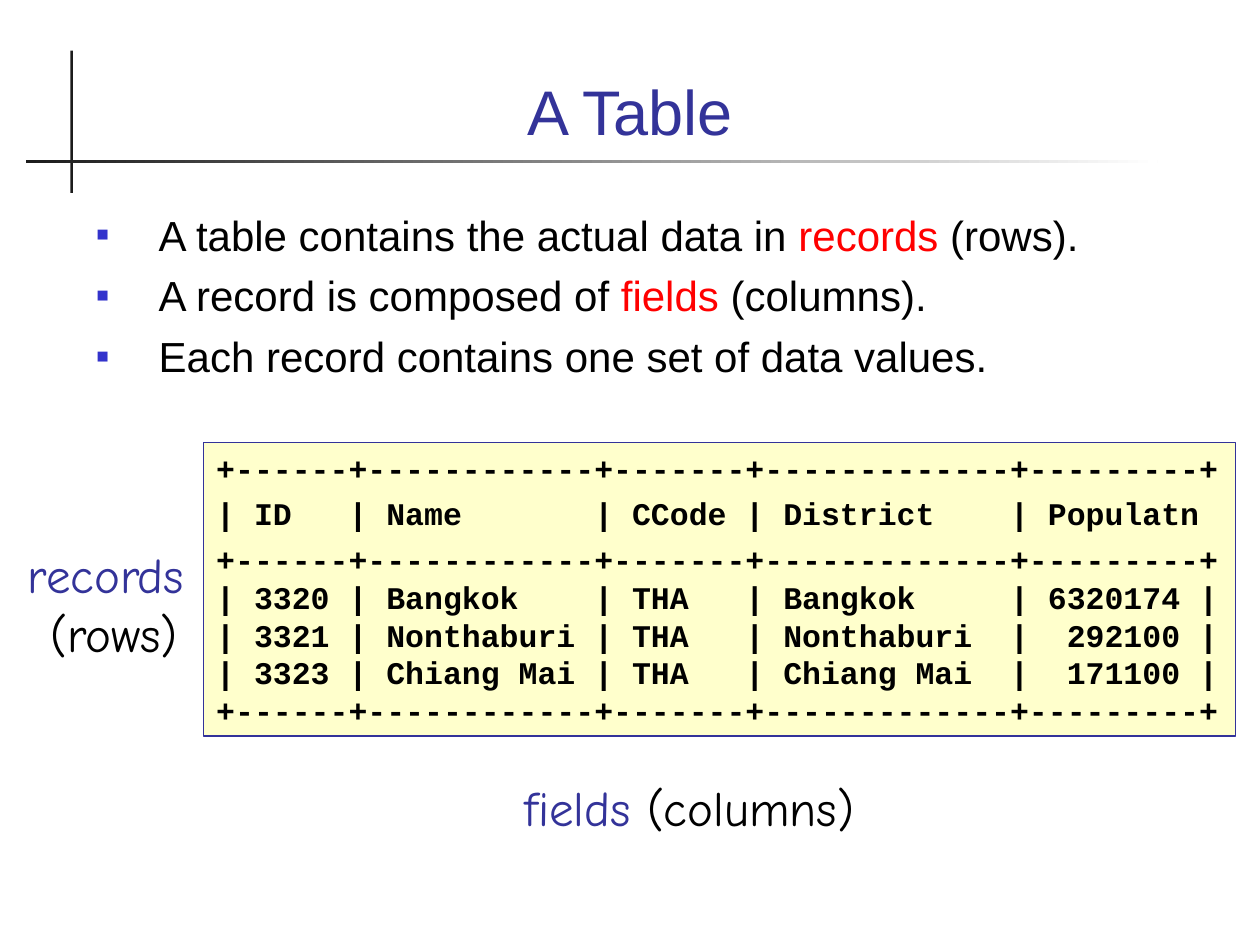
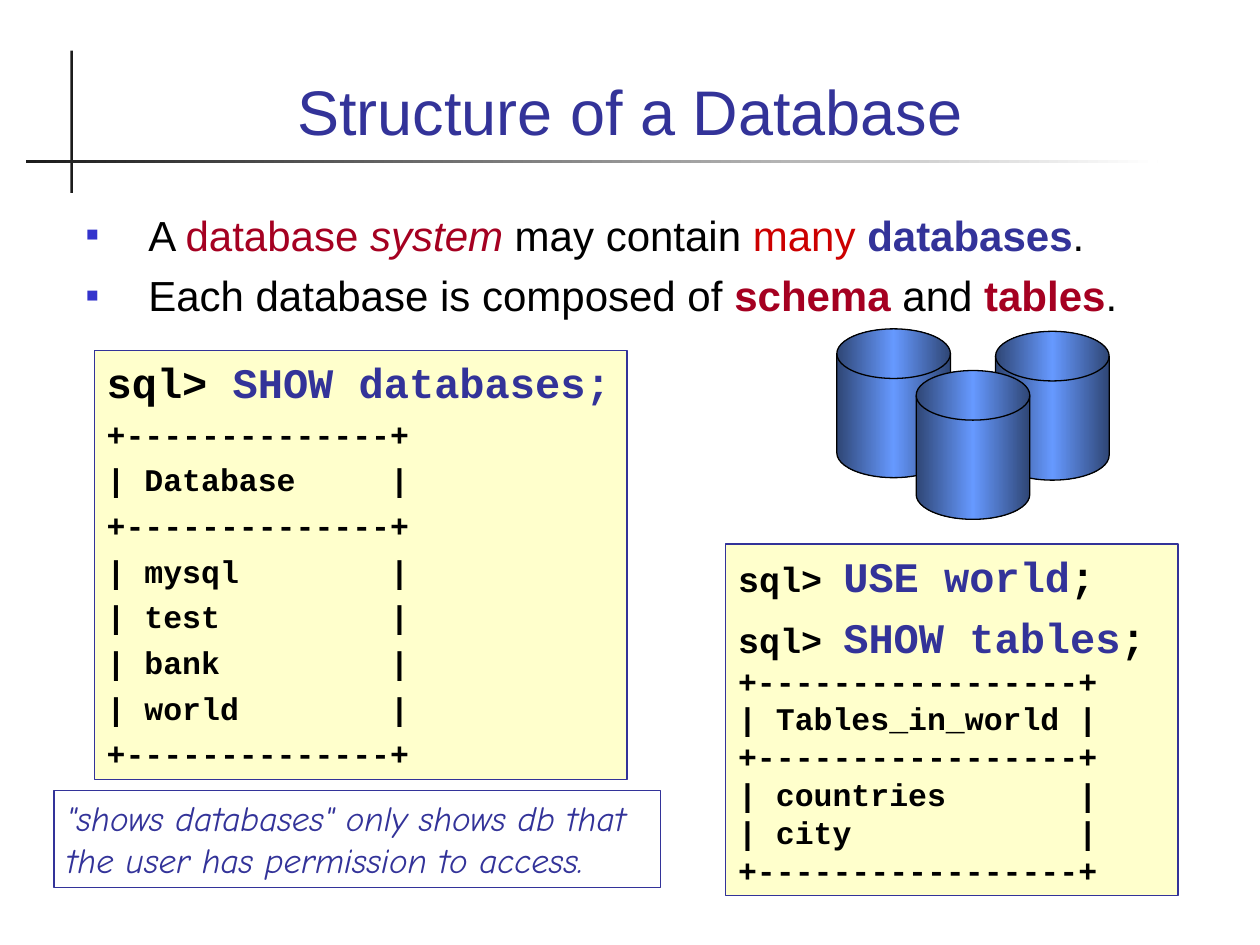
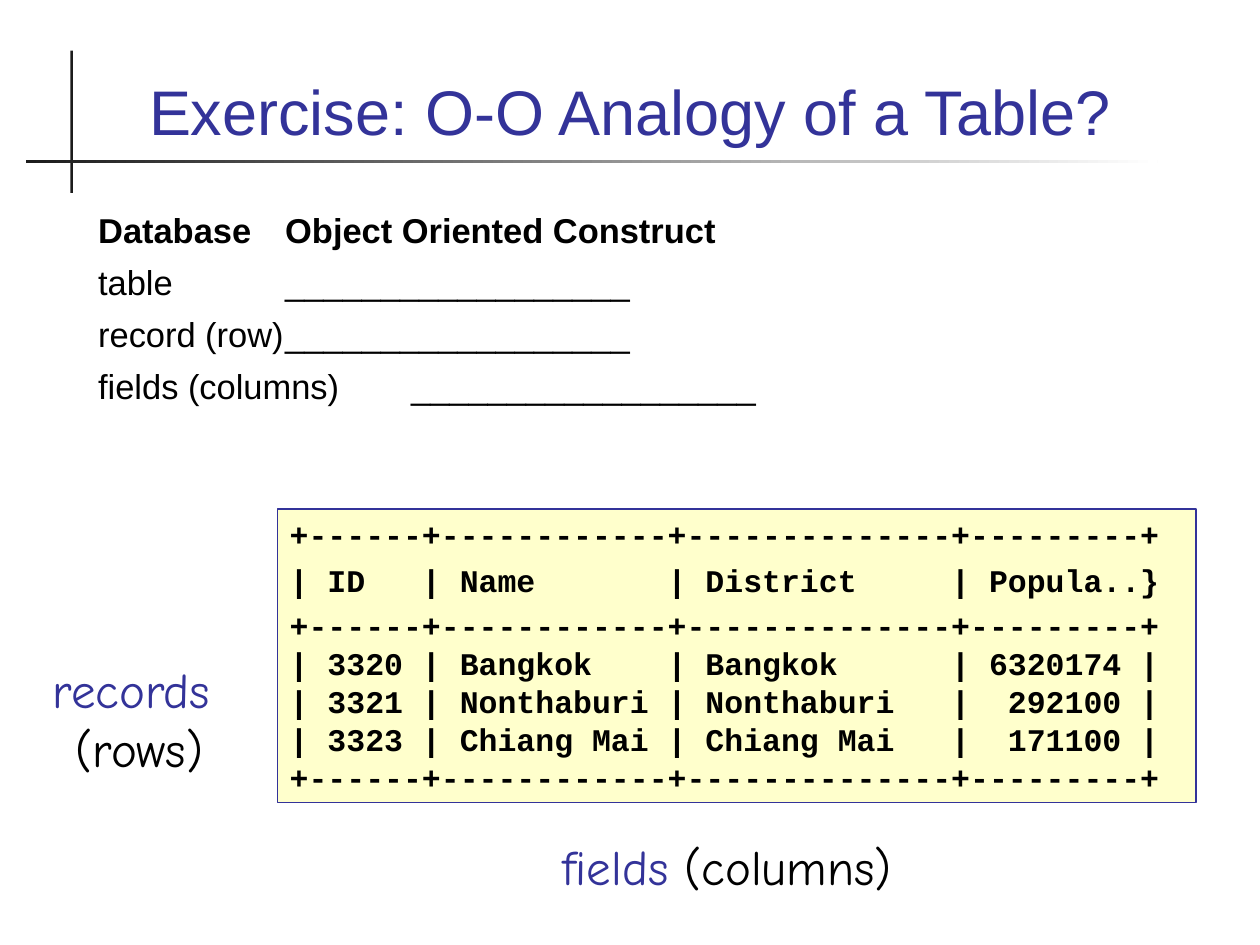
import pptx
import pptx.util
import pptx.dml.color
import pptx.enum.shapes
import pptx.enum.text
import pptx.oxml.ns
import lxml.etree

Cm, Pt = pptx.util.Cm, pptx.util.Pt
BLACK, INK, NAVY, BLUE = "000000", "1C1C1C", "333399", "3333CC"
RED, BRICK, WINE, CREAM = "FF0000", "CC0000", "A50021", "FFFFCC"
SANS, HAND, MONO = "Arial", "Comic Neue", "Courier New"


def rule(*wide):
    return "+" + "+".join("-" * n for n in wide) + "+"


CITY = rule(6, 12, 7, 13, 9)
SHORT = rule(6, 12, 14, 9)
BASE = rule(14)
WORLD = rule(17)

FACTS = [
    ["A table contains the actual data in ", ("records", RED), " (rows)."],
    ["A record is composed of ", ("fields", RED), " (columns)."],
    ["Each record contains one set of data values."],
]
PARTS = [
    ["A ", ("database ", WINE), ("system", WINE, "i"), " may contain ",
     ("many ", BRICK), ("databases", NAVY, "b"), "."],
    ["Each database is composed of ", ("schema", WINE, "b"), " and ",
     ("tables", WINE, "b"), "."],
]
CITIES = [
    CITY,
    "| ID   | Name       | CCode | District    | Populatn",
    CITY,
    "| 3320 | Bangkok    | THA   | Bangkok     | 6320174 |",
    "| 3321 | Nonthaburi | THA   | Nonthaburi  |  292100 |",
    "| 3323 | Chiang Mai | THA   | Chiang Mai  |  171100 |",
    CITY,
]
PLACES = [
    SHORT,
    "| ID   | Name       | District     | Popula..}",
    SHORT,
    "| 3320 | Bangkok    | Bangkok      | 6320174 |",
    "| 3321 | Nonthaburi | Nonthaburi   |  292100 |",
    "| 3323 | Chiang Mai | Chiang Mai   |  171100 |",
    SHORT,
]
BASES = [
    BASE,
    "| Database     |",
    BASE,
    "| mysql        |",
    "| test         |",
    "| bank         |",
    "| world        |",
    BASE,
]
TABLES = [
    WORLD,
    "| Tables_in_world |",
    WORLD,
    "| countries       |",
    "| city            |",
    WORLD,
]
BLANK = "_" * 18
PAIRS = [
    ("Database", "Object Oriented Construct"),
    ("table", BLANK),
    ("record (row)", BLANK),
    ("fields (columns)", BLANK),
]
NOTE = '"shows databases" only shows db that the user has permission to access.'
ROWS = [("records ", NAVY), "\n", "(rows)"]
COLS = [("fields", NAVY), " (columns)"]
DISKS = [(16.87, 6.63), (20.07, 6.68), (18.47, 7.47)]


def tint(code):
    return pptx.dml.color.RGBColor.from_string(code)


def node(top, tag, **attrs):
    return lxml.etree.SubElement(top, pptx.oxml.ns.qn(tag), attrs)


def fade(shape, *stops):
    shape.fill.gradient()
    shape.fill.gradient_angle = 0
    box = shape.fill._xPr.find(".//" + pptx.oxml.ns.qn("a:gsLst"))
    for old in list(box):
        box.remove(old)
    for num, code in enumerate(stops):
        stop = node(box, "a:gs", pos=str(100000 * num // (len(stops) - 1)))
        node(stop, "a:srgbClr", val=code)


def form(slide, kind, *at):
    shape = slide.shapes.add_shape(kind, *map(Cm, at))
    shape.shadow.inherit = False
    return shape


def panel(slide, at, fill=None, line=None, low=False):
    box = slide.shapes.add_textbox(*map(Cm, at))
    box.text_frame.word_wrap = True
    if low:
        box.text_frame.vertical_anchor = pptx.enum.text.MSO_ANCHOR.BOTTOM
    if fill:
        box.fill.solid()
        box.fill.fore_color.rgb = tint(fill)
    if line:
        box.line.color.rgb = tint(line)
        box.line.width = Pt(0.75)
    return box.text_frame


def para(frame, runs, size, face, gap=0, color=BLACK, mid=False,
         bold=None, slant=None, dot=False, tabs=()):
    first = not frame.paragraphs[0].runs
    par = frame.paragraphs[0] if first else frame.add_paragraph()
    par.space_before = Pt(0 if first else gap)
    if mid:
        par.alignment = pptx.enum.text.PP_ALIGN.CENTER
    prop = par._p.get_or_add_pPr()
    if dot:
        prop.set("marL", str(Cm(1.27)))
        prop.set("indent", str(-Cm(1.27)))
        node(node(prop, "a:buClr"), "a:srgbClr", val=BLUE)
        node(prop, "a:buSzPct", val="95000")
        node(prop, "a:buFont", typeface=SANS)
        node(prop, "a:buChar", char="▪")
    if tabs:
        stops = node(prop, "a:tabLst")
        for pos in tabs:
            node(stops, "a:tab", pos=str(Cm(pos)), algn="l")
    font = par.font
    font.size, font.name, font.bold, font.italic = Pt(size), face, bold, slant
    font.color.rgb = tint(color)
    for item in runs:
        if item == "\n":
            par.add_line_break()
            continue
        text, code, *style = (item, None) if isinstance(item, str) else item
        run = par.add_run()
        run.text = text
        if code:
            run.font.color.rgb = tint(code)
        if "b" in style:
            run.font.bold = True
        if "i" in style:
            run.font.italic = True
    return par


def start(deck, title):
    slide = deck.slides.add_slide(deck.slide_layouts[6])
    rect = pptx.enum.shapes.MSO_SHAPE.RECTANGLE
    post = form(slide, rect, 1.42, 1.02, 0.05, 2.87)
    post.fill.solid()
    post.fill.fore_color.rgb = tint(INK)
    beam = form(slide, rect, 0.53, 3.23, 22.81, 0.05)
    fade(beam, INK, "FFFFFF")
    for bar in (post, beam):
        bar.line.fill.background()
    frame = panel(slide, (1.7, 0.71, 22, 2.41), low=True)
    para(frame, [title], 36, SANS, color=NAVY, mid=True)
    return slide


def points(slide, left, items):
    frame = panel(slide, (left, 4.09, 22, 5.33))
    for runs in items:
        para(frame, runs, 24, SANS, gap=6, dot=True)


def code(slide, at, lines, loose, heads=()):
    frame = panel(slide, at, CREAM, NAVY)
    for size, runs in heads:
        par = para(frame, runs, 24, MONO, gap=6, bold=True)
        par.runs[0].font.size = Pt(size)
    for num, line in enumerate(lines):
        para(frame, [line], 18, MONO, gap=4.5 if num < loose else 0, bold=True)


def label(slide, at, runs):
    para(panel(slide, at), runs, 28, HAND, mid=True)


def main():
    deck = pptx.Presentation()
    deck.slide_width, deck.slide_height = Cm(25.4), Cm(19.05)

    slide = start(deck, "A Table")
    points(slide, 1.68, FACTS)
    code(slide, (4.11, 8.92, 20.8, 5.92), CITIES, 3)
    label(slide, (0.13, 10.85, 4.34, 2.64), ROWS)
    label(slide, (9.02, 15.54, 9.75, 1.45), COLS)

    slide = start(deck, "Structure of a Database")
    points(slide, 1.47, PARTS)
    code(slide, (14.63, 10.97, 9.12, 7.09), TABLES, 0,
         [(20, ["sql> ", (text, NAVY), ";"])
          for text in ("USE world", "SHOW tables")])
    for left, top in DISKS:
        kind = pptx.enum.shapes.MSO_SHAPE.FLOWCHART_MAGNETIC_DISK
        disk = form(slide, kind, left, top, 2.29, 3)
        fade(disk, "2F4675", "6699FF", "2F4675")
        disk.line.color.rgb = tint(BLACK)
        disk.line.width = Pt(0.75)
    code(slide, (1.9, 7.06, 10.74, 8.65), BASES, len(BASES),
         [(24, ["sql> ", ("SHOW databases;", NAVY)])])
    frame = panel(slide, (1.09, 15.93, 12.22, 1.96), line=NAVY)
    para(frame, [NOTE], 20, HAND, color=NAVY, slant=True)

    slide = start(deck, "Exercise: O-O Analogy of a Table?")
    frame = panel(slide, (1.73, 4.09, 22, 5.33))
    for num, pair in enumerate(PAIRS):
        para(frame, ["\t".join(pair)], 19.7, SANS, gap=6,
             bold=num == 0, tabs=(3.77, 6.31))
    code(slide, (5.59, 10.26, 18.52, 5.92), PLACES, 3)
    label(slide, (9.78, 16.74, 9.75, 1.45), COLS)
    label(slide, (0.56, 13.18, 4.5, 2.64), ROWS)

    deck.save("out.pptx")


if __name__ == "__main__":
    main()
